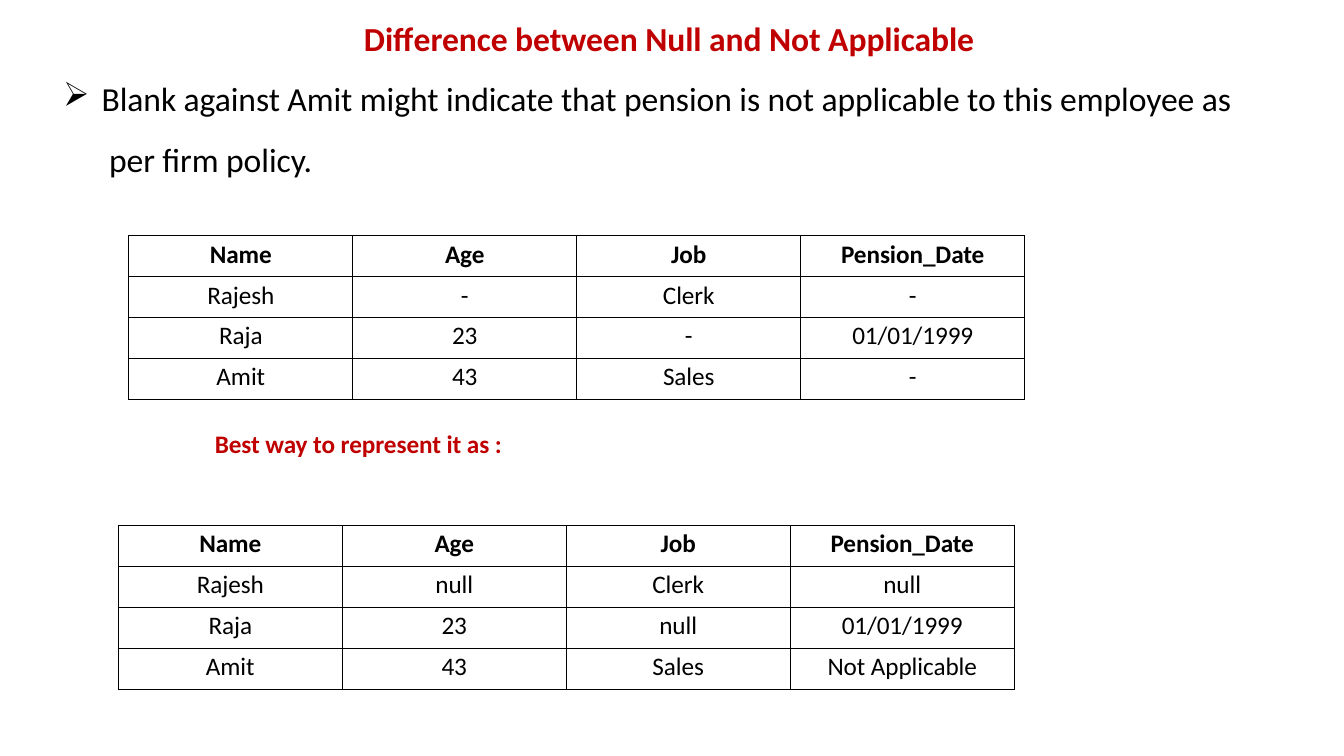
from lxml import etree
from pptx import Presentation
from pptx.dml.color import RGBColor
from pptx.enum.text import MSO_ANCHOR, MSO_AUTO_SIZE, PP_ALIGN
from pptx.oxml.ns import qn
from pptx.util import Pt

LEFT, CENTER = PP_ALIGN.LEFT, PP_ALIGN.CENTER
TOP = MSO_ANCHOR.TOP
NO_AUTOFIT = MSO_AUTO_SIZE.NONE
FONT = "Calibri"
RED, BLACK = "C00000", "000000"
HEADER = ["Name", "Age", "Job", "Pension_Date"]
BLANK_ROWS = [
    HEADER,
    ["Rajesh", "-", "Clerk", "-"],
    ["Raja", "23", "-", "01/01/1999"],
    ["Amit", "43", "Sales", "-"],
]
NULL_ROWS = [
    HEADER,
    ["Rajesh", "null", "Clerk", "null"],
    ["Raja", "23", "null", "01/01/1999"],
    ["Amit", "43", "Sales", "Not Applicable"],
]


def color(value):
    """Return the colour for a hex string."""
    return RGBColor.from_string(value)


def write(frame, text, size, value, bold=False, align=LEFT, before=1):
    """Write one formatted paragraph and return it."""
    frame.text = text
    paragraph = frame.paragraphs[0]
    paragraph.alignment = align
    paragraph.space_before = Pt(before)
    paragraph.line_spacing = 1.0
    font = paragraph.font
    font.name, font.size, font.bold = FONT, Pt(size), bold
    font.color.rgb = color(value)
    for run in paragraph.runs:
        run.font._element.set("spc", "-5")
    return paragraph


def place_text(shape, box, text, size, value, bold=False):
    """Fit a text shape to the box and write its paragraph."""
    shape.left, shape.top, shape.width, shape.height = map(Pt, box)
    frame = shape.text_frame
    frame.word_wrap = True
    frame.auto_size = NO_AUTOFIT
    frame.vertical_anchor = TOP
    frame.margin_left = frame.margin_right = frame.margin_bottom = 0
    frame.margin_top = Pt(1)
    return write(frame, text, size, value, bold)


def add_text(slide, box, text, size, value, bold=False):
    """Add a text box and return its paragraph."""
    shape = slide.shapes.add_textbox(*map(Pt, box))
    return place_text(shape, box, text, size, value, bold)


def add_bullet(slide, box, text):
    """Add the arrow-bulleted statement."""
    paragraph = add_text(slide, box, text, 24, BLACK)
    paragraph.line_spacing = 1.5
    properties = paragraph._p.get_or_add_pPr()
    properties.set("marL", str(Pt(28)))
    properties.set("indent", str(-Pt(27.4)))
    bullet = etree.Element(qn("a:buChar"), char="➢")
    properties.find(qn("a:spcBef")).addnext(bullet)


def add_borders(cell):
    """Draw a thin black line on each side of a cell."""
    properties = cell._tc.get_or_add_tcPr()
    for index, side in enumerate(("lnL", "lnR", "lnT", "lnB")):
        line = etree.Element(qn(f"a:{side}"), w=str(Pt(1)))
        fill = etree.SubElement(line, qn("a:solidFill"))
        etree.SubElement(fill, qn("a:srgbClr"), val=BLACK)
        properties.insert(index, line)


def add_employee_table(slide, box, rows):
    """Add a bordered employee table with equal rows and columns."""
    shape = slide.shapes.add_table(len(rows), len(rows[0]), *map(Pt, box))
    table = shape.table
    table.first_row = table.horz_banding = False
    for row_index, values in enumerate(rows):
        for column_index, text in enumerate(values):
            cell = table.cell(row_index, column_index)
            cell.fill.background()
            cell.margin_left = cell.margin_right = cell.margin_bottom = 0
            cell.margin_top = Pt(2.4)
            write(cell.text_frame, text, 18, BLACK, row_index == 0, CENTER, 2.5)
            add_borders(cell)


def build_slide(presentation):
    """Build the slide comparing null with not applicable."""
    slide = presentation.slides.add_slide(presentation.slide_layouts[5])
    place_text(slide.shapes.title, (260, 11.5, 440, 31),
               "Difference between Null and Not Applicable", 24, RED, True)
    add_bullet(slide, (44.6, 40.3, 845, 88.6),
               "Blank against Amit might indicate that pension is not applicable "
               "to this employee as\v per firm policy.")
    add_employee_table(slide, (92, 168.4, 640, 117), BLANK_ROWS)
    add_text(slide, (153.4, 305.3, 215, 23.8),
             "Best way to represent it as :", 18, RED, True)
    add_employee_table(slide, (84.5, 375.4, 640, 117), NULL_ROWS)


def main():
    """Create and save the presentation."""
    presentation = Presentation()
    presentation.slide_width, presentation.slide_height = Pt(960), Pt(540)
    build_slide(presentation)
    presentation.save("out.pptx")


if __name__ == "__main__":
    main()
